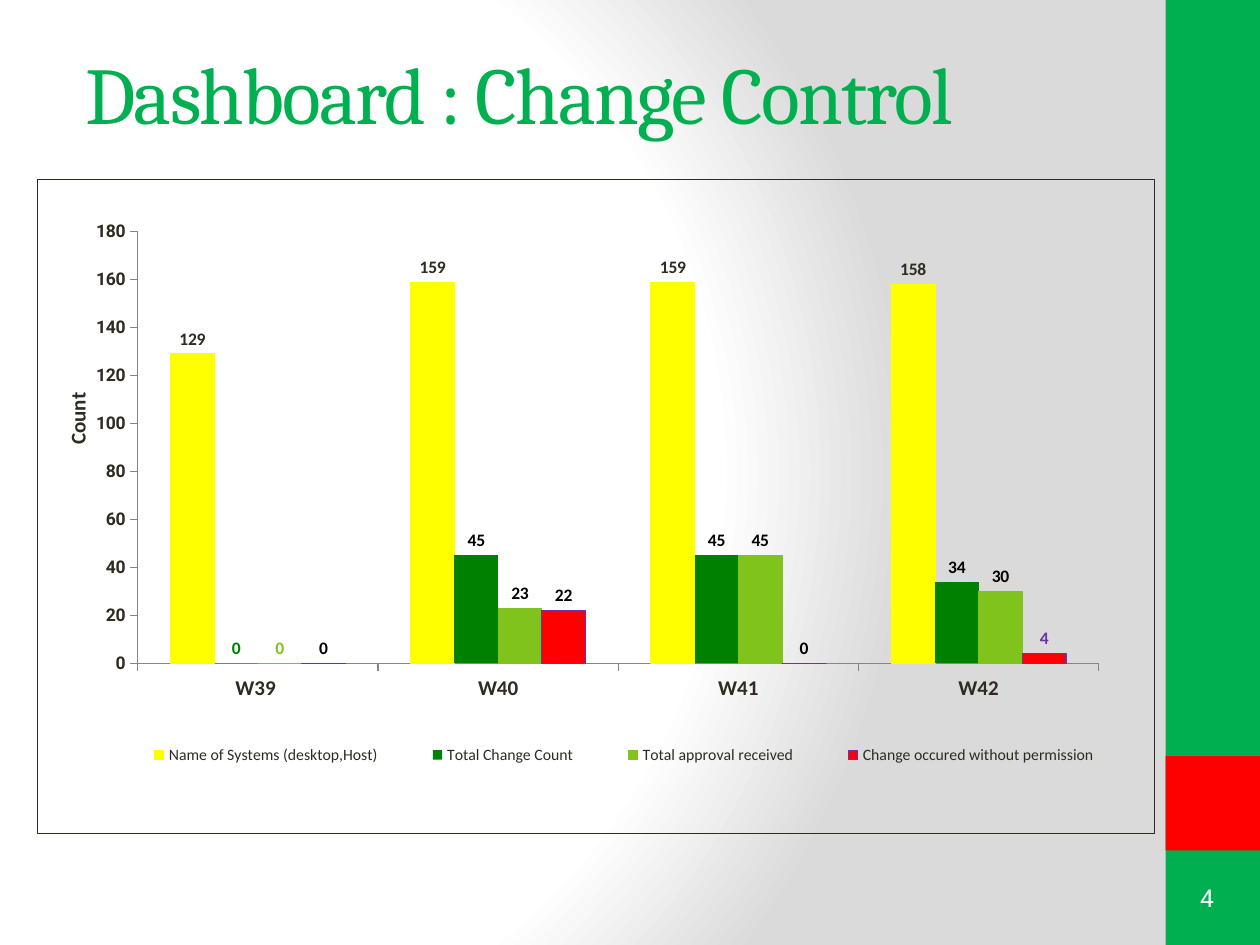
from pptx import Presentation
from pptx.chart.data import CategoryChartData
from pptx.dml.color import RGBColor
from pptx.enum import chart as charts, shapes, text
from pptx.oxml import parse_xml
from pptx.oxml.ns import nsdecls, qn
from pptx.util import Inches, Pt

GREEN = RGBColor(0x00, 0xB0, 0x50)
RED = RGBColor(0xFF, 0x00, 0x00)
WHITE = RGBColor(0xFF, 0xFF, 0xFF)
SILVER = RGBColor(0xDA, 0xDA, 0xDA)
BLACK = RGBColor(0x00, 0x00, 0x00)
INK = RGBColor(0x2F, 0x2B, 0x20)
AXIS_GRAY = RGBColor(0x86, 0x86, 0x86)
YELLOW = RGBColor(0xFF, 0xFF, 0x00)
DARK_GREEN = RGBColor(0x00, 0x80, 0x00)
LIME = RGBColor(0x7F, 0xC3, 0x1C)
PURPLE = RGBColor(0x70, 0x30, 0xA0)

WEEKS = ["W39 ", "W40", "W41", "W42"]
# name, values, fill, line, label colour, (point, colour) of a special label
SERIES = [
    ("Name of Systems (desktop,Host)", (129, 159, 159, 158), YELLOW, YELLOW, INK, None),
    ("Total Change Count", (0, 45, 45, 34), DARK_GREEN, None, BLACK, (0, DARK_GREEN)),
    ("Total approval received", (0, 23, 45, 30), LIME, LIME, BLACK, (0, LIME)),
    ("Change occured without permission", (0, 22, 0, 4), RED, PURPLE, BLACK, (3, PURPLE)),
]


def set_font(font, size, color=INK, name="Calibri", bold=False):
    font.size, font.name, font.bold = Pt(size), name, bold
    font.color.rgb = color


def write(frame, content, align=None, spacing=None, **style):
    paragraph = frame.paragraphs[0]
    paragraph.alignment = align
    run = paragraph.add_run()
    run.text = content
    set_font(run.font, **style)
    if spacing is not None:
        run.font._element.set("spc", str(spacing))


def place(parent, after=None, inner=False, **box):
    """Give a chart part a fixed place, as fractions of the chart."""
    for old in parent.findall(qn("c:layout")):
        parent.remove(old)
    target = '<c:layoutTarget val="inner"/>' if inner else ""
    sizes = "".join(f'<c:{tag} val="{value}"/>' for tag, value in box.items())
    layout = parse_xml(
        f'<c:layout {nsdecls("c")}><c:manualLayout>{target}<c:xMode val="edge"/>'
        f'<c:yMode val="edge"/>{sizes}</c:manualLayout></c:layout>')
    if after:
        parent.find(qn(after)).addnext(layout)
    else:
        parent.insert(0, layout)


class Dashboard:
    def __init__(self, presentation):
        self.slide = presentation.slides.add_slide(presentation.slide_layouts[6])

    def background(self, *stops):
        stop_xml = "".join(f'<a:gs pos="{at * 1000}"><a:srgbClr val="{color}"/></a:gs>'
                           for at, color in stops)
        self.slide._element.cSld.insert(0, parse_xml(
            f'<p:bg {nsdecls("p", "a")}><p:bgPr><a:gradFill rotWithShape="1">'
            f'<a:gsLst>{stop_xml}</a:gsLst><a:path path="circle">'
            '<a:fillToRect l="20000" t="50000" r="100000" b="50000"/></a:path>'
            '</a:gradFill><a:effectLst/></p:bgPr></p:bg>'))

    def block(self, left, top, width, height, color):
        shape = self.slide.shapes.add_shape(
            shapes.MSO_SHAPE.RECTANGLE, *map(Inches, (left, top, width, height)))
        shape.shadow.inherit = False
        shape.fill.solid()
        shape.fill.fore_color.rgb = color
        shape.line.fill.background()

    def label(self, content, left, top, width, height, centered=False, **style):
        box = self.slide.shapes.add_textbox(*map(Inches, (left, top, width, height)))
        frame = box.text_frame
        frame.word_wrap = True
        if centered:
            frame.vertical_anchor = text.MSO_ANCHOR.MIDDLE
            frame.margin_left = frame.margin_right = 0
            frame.margin_top = frame.margin_bottom = 0
            style["align"] = text.PP_ALIGN.CENTER
        write(frame, content, **style)

    def column_chart(self, left, top, width, height):
        data = CategoryChartData()
        data.categories = WEEKS
        for name, values, *_ in SERIES:
            data.add_series(name, values)
        chart = self.slide.shapes.add_chart(
            charts.XL_CHART_TYPE.COLUMN_CLUSTERED,
            *map(Inches, (left, top, width, height)), data).chart
        set_font(chart.font, 14, name="Roboto")
        chart.has_title = False
        self.style_axes(chart)
        self.style_series(chart.plots[0])

        # Legend, plot place and frame
        chart.has_legend = True
        chart.legend.position = charts.XL_LEGEND_POSITION.BOTTOM
        chart.legend.include_in_layout = False
        set_font(chart.legend.font, 9)
        place(chart.legend._element, after="c:legendPos", x=0.06, y=0.85, w=0.93, h=0.06)
        space = chart._chartSpace
        place(space.chart.plotArea, inner=True, x=0.09, y=0.08, w=0.86, h=0.66)
        space.find(qn("c:txPr")).addprevious(parse_xml(
            f'<c:spPr {nsdecls("c", "a")}><a:noFill/><a:ln w="9525"><a:solidFill>'
            f'<a:srgbClr val="{INK}"/></a:solidFill></a:ln></c:spPr>'))

    def style_axes(self, chart):
        for axis, size, name in ((chart.category_axis, 12, "Calibri"),
                                 (chart.value_axis, 10, "Roboto")):
            axis.has_major_gridlines = False
            axis.major_tick_mark = charts.XL_TICK_MARK.OUTSIDE
            axis.minor_tick_mark = charts.XL_TICK_MARK.NONE
            axis.format.line.color.rgb = AXIS_GRAY
            axis.format.line.width = Pt(0.75)
            set_font(axis.tick_labels.font, size, name=name, bold=True)
        value_axis = chart.value_axis
        value_axis.minimum_scale, value_axis.maximum_scale = 0, 180
        value_axis.major_unit = 20
        write(value_axis.axis_title.text_frame, "Count", size=12, bold=True)
        place(value_axis.axis_title._element, after="c:tx", x=0.02, y=0.32)

    def style_series(self, plot):
        plot.gap_width, plot.overlap = 150, 0
        plot.vary_by_categories = False
        outside = charts.XL_LABEL_POSITION.OUTSIDE_END
        for series, (_, _, fill, line, color, special) in zip(plot.series, SERIES):
            series.invert_if_negative = False
            series.format.fill.solid()
            series.format.fill.fore_color.rgb = fill
            if line is None:
                series.format.line.fill.background()
            else:
                series.format.line.color.rgb = line
                series.format.line.width = Pt(0.75)
            labels = series.data_labels
            labels.show_value = True
            labels.position = outside
            set_font(labels.font, 10, color, bold=True)
            if special:
                index, special_color = special
                point_label = series.points[index].data_label
                set_font(point_label.font, 10, special_color, bold=True)
                point_label.position = outside


presentation = Presentation()
presentation.slide_width, presentation.slide_height = Inches(10), Inches(7.5)
dashboard = Dashboard(presentation)

# Background and side band
dashboard.background((0, WHITE), (75, WHITE), (100, SILVER))
dashboard.block(9.25, 0, 0.75, 7.5, GREEN)
dashboard.block(9.25, 6, 0.75, 0.75, RED)

# Chart
dashboard.column_chart(0.29, 1.42, 8.88, 5.2)

# Slide number and title
dashboard.label("4", 9.33, 6.92, 0.5, 0.41, centered=True,
                size=14, color=WHITE, name="Roboto")
dashboard.label("Dashboard : Change Control", 0.58, 0.3, 8.33, 1.25,
                size=46, color=GREEN, name="Cambria", spacing=-100)

presentation.save("out.pptx")
